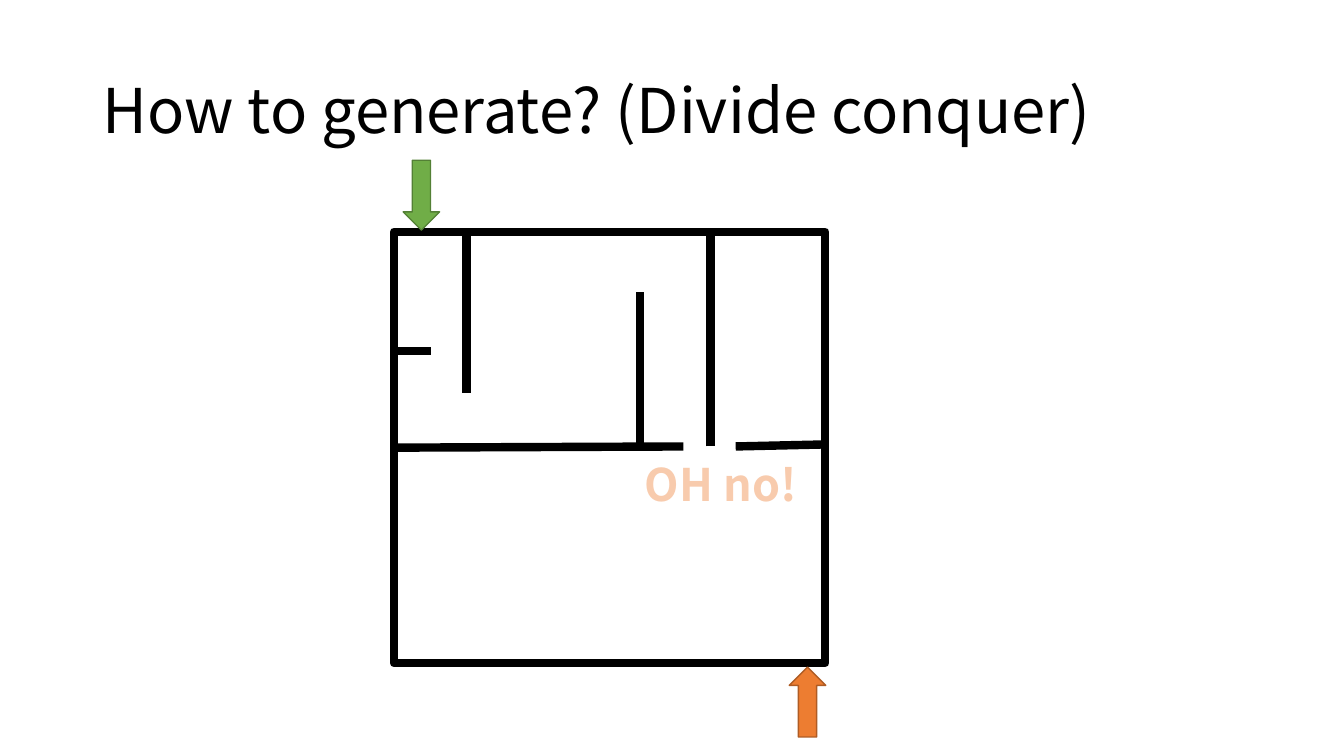
"""Build a slide that shows a maze split by divide and conquer."""
from lxml.etree import SubElement
from pptx import Presentation
from pptx.dml.color import RGBColor as Rgb
from pptx.enum.shapes import MSO_CONNECTOR as Link, MSO_SHAPE as Kind
from pptx.enum.text import MSO_ANCHOR as Anchor, PP_ALIGN as Align
from pptx.oxml import parse_xml
from pptx.oxml.ns import nsdecls, qn
from pptx.util import Cm, Pt

theme = {
    "font": "Noto Sans CJK SC",
    "title": 44, "note": 32, "wall": 6, "edge": 1,
    "ink": "000000", "peach": "F8CBAD", "rim": "ED7D31",
    "start": ("70AD47", "538035"), "goal": ("ED7D31", "AF5C24"),
}


def paint(line, color, width):
    line.color.rgb = Rgb.from_string(color)
    line.width = Pt(width)


def write(text, box, size, color, bold, align):
    frame = slide.shapes.add_textbox(*map(Cm, box)).text_frame
    frame.word_wrap = True
    frame.vertical_anchor = Anchor.MIDDLE
    par = frame.paragraphs[0]
    par.text, par.alignment = text, align
    par.font.name, par.font.size, par.font.bold = theme["font"], Pt(size), bold
    par.font.color.rgb = Rgb.from_string(color)
    return par


deck = Presentation()
deck.slide_width, deck.slide_height = Cm(33.87), Cm(19.05)
slide = deck.slides.add_slide(deck.slide_layouts[6])

title = write("How to generate? (Divide conquer)", (2.34, 1.02, 29.21, 3.68),
              theme["title"], theme["ink"], False, Align.LEFT)
title.line_spacing = 0.9

left, top, side = 9.93, 5.84, 10.87
right = left + side
maze = slide.shapes.add_shape(Kind.RECTANGLE, Cm(left), Cm(top), Cm(side), Cm(side))
maze.shadow.inherit = False
maze.fill.background()
paint(maze.line, theme["ink"], theme["wall"])

walls = [
    (left, 11.28, 17.22, 11.25),
    (18.54, 11.25, right, 11.2),
    (11.76, top, 11.76, 9.91),
    (left, 8.84, 10.87, 8.84),
    (16.13, 11.2, 16.13, 7.37),
    (17.91, 11.25, 17.91, top),
]
for ends in walls:
    wall = slide.shapes.add_connector(Link.STRAIGHT, *map(Cm, ends))
    paint(wall.line, theme["ink"], theme["wall"])
    SubElement(wall.element.spPr, qn("a:effectLst"))

doors = [("start", 10.16, 4.04, 0), ("goal", 19.89, 16.81, 180)]
for name, x, y, turn in doors:
    door = slide.shapes.add_shape(Kind.DOWN_ARROW, Cm(x), Cm(y), Cm(0.92), Cm(1.76))
    door.rotation = turn
    door.shadow.inherit = False
    fill, edge = theme[name]
    door.fill.solid()
    door.fill.fore_color.rgb = Rgb.from_string(fill)
    paint(door.line, edge, theme["edge"])

note = write("OH no!", (14.48, 11.38, 7.37, 1.63),
             theme["note"], theme["peach"], True, Align.CENTER)
rim = parse_xml(f'<a:ln {nsdecls("a")} w="{Pt(1.75)}"><a:solidFill>'
                f'<a:srgbClr val="{theme["rim"]}"/></a:solidFill></a:ln>')
note.runs[0].font._element.insert(0, rim)

deck.save("out.pptx")
